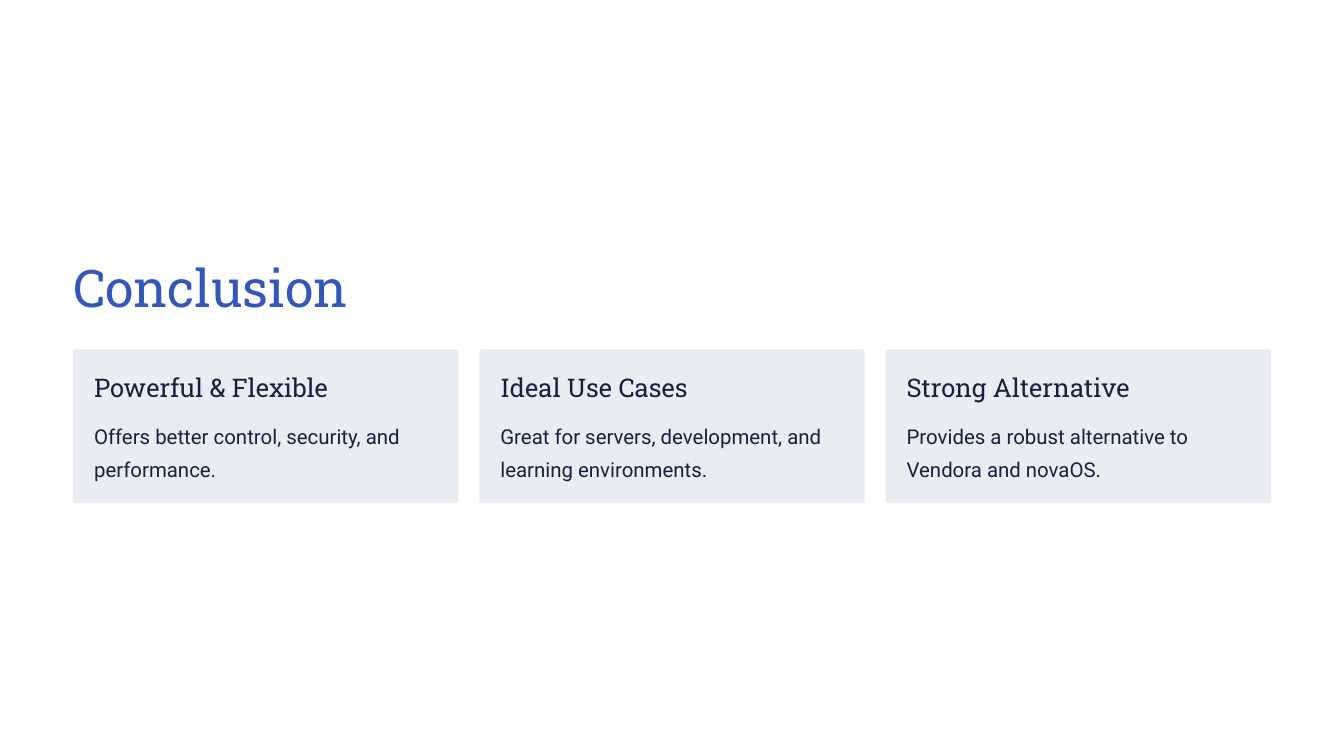
from pptx import Presentation
from pptx import util as u
from pptx.dml.color import RGBColor
from pptx.enum import shapes, text

COLOURS = {"page": "FFFFFF", "title": "3257B8", "card": "E9ECF2", "ink": "15213F"}
WIDTH, HEIGHT = 16, 9
MARGIN, GAP, PADDING = 0.87, 0.25, 0.25
CARDS = [
    ("Powerful & Flexible", "Offers better control, security, and performance."),
    ("Ideal Use Cases", "Great for servers, development, and learning environments."),
    ("Strong Alternative", "Provides a robust alternative to Vendora and novaOS."),
]


def colour(name):
    """Return the named colour."""
    return RGBColor.from_string(COLOURS[name])


def add_text(page, box, words, font, size, leading, ink):
    """Place one paragraph, without insets, in a box given in inches."""
    frame = page.shapes.add_textbox(*map(u.Inches, box)).text_frame
    frame.word_wrap = True
    frame.vertical_anchor = text.MSO_ANCHOR.TOP
    frame.margin_left = frame.margin_right = frame.margin_top = frame.margin_bottom = 0
    para = frame.paragraphs[0]
    para.alignment = text.PP_ALIGN.LEFT
    para.line_spacing = u.Pt(leading)
    span = para.add_run()
    span.text = words
    span.font.name = font
    span.font.size = u.Pt(size)
    span.font.color.rgb = colour(ink)


def add_card(page, box, heading, body):
    """Draw a rounded card with a heading above its body."""
    left, top, width, height = box
    card = page.shapes.add_shape(shapes.MSO_SHAPE.ROUNDED_RECTANGLE, *map(u.Inches, box))
    card.adjustments[0] = 0.02
    card.shadow.inherit = False
    card.fill.solid()
    card.fill.fore_color.rgb = colour("card")
    card.line.fill.background()
    left, top, width = left + PADDING, top + PADDING, width - 2 * PADDING
    add_text(page, (left, top, width, 0.39), heading, "Roboto Slab", 22, 27.5, "ink")
    add_text(page, (left, top + 0.53, width, 0.79), body, "Roboto", 17.5, 28.5, "ink")


def add_cards(page, box):
    """Share the box equally between the cards."""
    left, top, width, height = box
    card_width = (width - GAP * (len(CARDS) - 1)) / len(CARDS)
    for column, (heading, body) in enumerate(CARDS):
        card_left = left + column * (card_width + GAP)
        add_card(page, (card_left, top, card_width, height), heading, body)


def build_conclusion(deck):
    """Add the conclusion slide."""
    page = deck.slides.add_slide(deck.slide_layouts[6])
    page.background.fill.solid()
    page.background.fill.fore_color.rgb = colour("page")
    width = WIDTH - 2 * MARGIN
    add_text(page, (MARGIN, 3.01, width, 0.78), "Conclusion", "Roboto Slab", 44.5, 55.5, "title")
    add_cards(page, (MARGIN, 4.16, width, 1.83))


def main():
    """Build and save the deck."""
    deck = Presentation()
    deck.slide_width, deck.slide_height = u.Inches(WIDTH), u.Inches(HEIGHT)
    build_conclusion(deck)
    deck.save("out.pptx")


if __name__ == "__main__":
    main()
